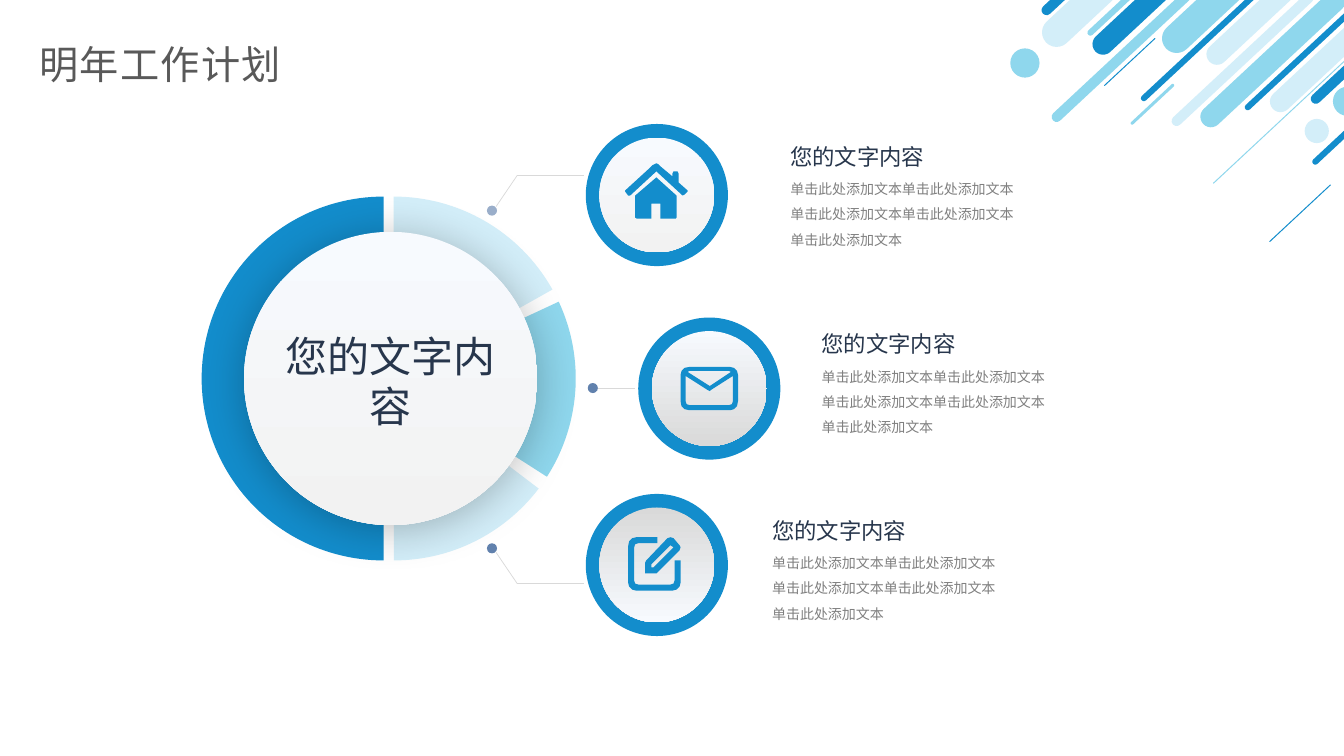
"""Build a slide that presents next year's work plan around a segmented disc."""
from dataclasses import dataclass

from lxml import etree
from pptx import Presentation
from pptx.dml.color import RGBColor
from pptx.enum.shapes import MSO_CONNECTOR, MSO_SHAPE
from pptx.enum.text import MSO_ANCHOR, PP_ALIGN
from pptx.oxml.ns import qn
from pptx.shapes.autoshape import Shape
from pptx.slide import Slide
from pptx.text.text import TextFrame
from pptx.util import Inches, Pt

OVAL = MSO_SHAPE.OVAL
PIE = MSO_SHAPE.PIE
PILL = MSO_SHAPE.ROUNDED_RECTANGLE
STRAIGHT = MSO_CONNECTOR.STRAIGHT
TOP = MSO_ANCHOR.TOP
LEFT = PP_ALIGN.LEFT
CENTER = PP_ALIGN.CENTER

BLUE = RGBColor(0x13, 0x8D, 0xCC)
SKY = RGBColor(0x8F, 0xD7, 0xED)
PALE = RGBColor(0xD3, 0xEE, 0xF9)
FROST = RGBColor(0xF7, 0xFA, 0xFE)
MIST = RGBColor(0xF2, 0xF2, 0xF2)
SILVER = RGBColor(0xD9, 0xD9, 0xD9)
SLATE = RGBColor(0x61, 0x81, 0xAD)
LIGHT_SLATE = RGBColor(0x9A, 0xAE, 0xCA)
NAVY = RGBColor(0x27, 0x36, 0x4C)
GREY = RGBColor(0x80, 0x80, 0x80)
CHARCOAL = RGBColor(0x59, 0x59, 0x59)

FONT = "Noto Sans CJK SC"
HEADING = "您的文字内容"
DETAIL = "单击此处添加文本" * 5
STRIPE_TURN = 317
RING, FACE, DOT = 1.41, 1.14, 0.1
PIE_SIZE = 3.61

Point = tuple[float, float]
Contour = list[tuple[int, int]]


@dataclass(frozen=True)
class Stripe:
    """A slanted pill of the corner decoration."""

    left: float
    top: float
    width: float
    height: float
    color: RGBColor


@dataclass(frozen=True)
class Bubble:
    """A plain filled circle."""

    left: float
    top: float
    size: float
    color: RGBColor


@dataclass(frozen=True)
class Sector:
    """A pie sector of the main disc, with its angles as adjustments."""

    left: float
    turn: float
    start: float
    end: float
    color: RGBColor


@dataclass(frozen=True)
class Item:
    """A ringed icon with its leader line, heading and detail text."""

    ring: Point
    face_colors: tuple[RGBColor, RGBColor]
    dot: Bubble
    leader: list[Point]
    text: Point
    icon: list[Contour]


STRIPES = [
    Stripe(10.12, -0.37, 1.89, 0.29, PALE), Stripe(10.54, -0.33, 1.89, 0.06, SKY),
    Stripe(10.61, -0.24, 1.89, 0.21, BLUE), Stripe(10.19, 0.5, 1.89, 0.1, SKY),
    Stripe(11.31, -0.31, 1.89, 0.29, SKY), Stripe(11.07, 0.32, 1.89, 0.06, BLUE),
    Stripe(11.74, -0.14, 1.89, 0.21, PALE), Stripe(11.38, 0.54, 1.89, 0.1, PALE),
    Stripe(11.68, 0.48, 1.89, 0.21, SKY), Stripe(12.1, 0.41, 1.89, 0.06, BLUE),
    Stripe(12.37, 0.33, 1.89, 0.21, PALE), Stripe(12.76, 0.32, 1.89, 0.1, BLUE),
    Stripe(10.09, -0.56, 1.89, 0.1, BLUE), Stripe(12.77, 0.95, 1.89, 0.06, BLUE),
    Stripe(11.78, 1.17, 1.89, 0.01, SKY), Stripe(12.48, 2.11, 0.83, 0.01, BLUE),
    Stripe(11.14, 1.02, 0.58, 0.03, SKY), Stripe(10.86, 0.61, 0.69, 0.01, BLUE),
]
BUBBLES = [Bubble(12.94, 1.18, 0.24, PALE), Bubble(13.22, 0.86, 0.29, SKY),
           Bubble(10.02, 0.48, 0.29, SKY)]
SECTORS = [Sector(2, 0, 54, 162, BLUE), Sector(2.1, 0, 162, 198.44, PALE),
           Sector(2.1, 76, 155.42, 190.01, SKY), Sector(2.1, 76, 192.74, 8.4, PALE)]

HOUSE = [
    [(671, 194), (671, 216), (670, 217), (655, 217), (655, 202), (646, 202), (646, 217),
     (632, 217), (630, 216), (630, 194), (651, 176)],
    [(667, 172), (668, 170), (672, 170), (673, 172), (673, 181), (682, 189), (682, 190),
     (679, 193), (677, 194), (651, 170), (625, 194), (623, 194), (620, 190), (620, 189),
     (644, 167), (647, 164), (649, 163), (651, 162), (653, 163), (655, 165), (667, 175)],
]
ENVELOPE = [
    [(675, 372), (676, 368), (679, 365), (684, 364), (724, 364), (728, 365), (731, 368),
     (732, 372), (732, 398), (731, 403), (728, 406), (724, 407), (684, 407), (679, 406),
     (676, 403), (675, 398)],
    [(682, 369), (684, 368), (723, 368), (725, 369), (704, 383)],
    [(727, 373), (727, 398), (726, 401), (723, 402), (684, 402), (681, 401), (680, 398),
     (680, 373), (702, 387), (704, 388), (705, 387)],
]
PENCIL = [
    [(623, 542), (624, 537), (627, 534), (631, 533), (652, 533), (652, 539), (633, 539),
     (630, 540), (629, 543), (629, 576), (630, 579), (633, 580), (665, 580), (668, 579),
     (669, 576), (669, 556), (675, 556), (675, 578), (674, 582), (671, 585), (667, 586),
     (631, 586), (627, 585), (624, 582), (623, 578)],
    [(646, 560), (646, 563), (648, 563), (668, 543), (665, 541)],
    [(651, 569), (640, 569), (640, 558), (641, 556), (662, 534), (665, 533), (668, 534),
     (674, 541), (675, 543), (674, 546), (653, 567)],
]
ITEMS = [
    Item((5.81, 1.23), (FROST, MIST), Bubble(4.83, 2.04, DOT, LIGHT_SLATE),
         [(4.92, 2.05), (5.13, 1.74), (5.79, 1.74)], (7.74, 1.37), HOUSE),
    Item((6.33, 3.15), (FROST, SILVER), Bubble(5.83, 3.8, DOT, SLATE),
         [(5.83, 3.85), (6.3, 3.85)], (8.05, 3.23), ENVELOPE),
    Item((5.81, 4.9), (SILVER, FROST), Bubble(4.83, 5.39, DOT, SLATE),
         [(4.92, 5.48), (5.13, 5.79), (5.79, 5.79)], (7.56, 5.08), PENCIL),
]


def add_solid(page: Slide, kind: MSO_SHAPE, left: float, top: float,
              width: float, height: float, color: RGBColor) -> Shape:
    shape = page.shapes.add_shape(kind, Inches(left), Inches(top), Inches(width), Inches(height))
    paint(shape, color)
    return shape


def paint(shape: Shape, color: RGBColor) -> None:
    shape.shadow.inherit = False
    shape.fill.solid()
    shape.fill.fore_color.rgb = color
    shape.line.fill.background()


def add_bubble(page: Slide, bubble: Bubble) -> Shape:
    return add_solid(page, OVAL, bubble.left, bubble.top, bubble.size, bubble.size, bubble.color)


def shade(shape: Shape, colors: tuple[RGBColor, RGBColor]) -> None:
    shape.fill.gradient()
    shape.fill.gradient_angle = 270
    for stop, color in zip(shape.fill.gradient_stops, colors):
        stop.color.rgb = color


def cast_shadow(shape: Shape) -> None:
    effects = shape._element.spPr.find(qn("a:effectLst"))
    shadow = etree.SubElement(effects, qn("a:outerShdw"), blurRad=str(Pt(32)), dist=str(Pt(3)),
                              dir="5400000", algn="t", rotWithShape="0")
    tint = etree.SubElement(shadow, qn("a:srgbClr"), val="000000")
    etree.SubElement(tint, qn("a:alpha"), val="26000")


def write(frame: TextFrame, text: str, size: float, color: RGBColor, align: PP_ALIGN = LEFT,
          spacing: float = 1.0, tracking: int = 0) -> None:
    frame.word_wrap = True
    frame.vertical_anchor = TOP
    para = frame.paragraphs[0]
    para.alignment = align
    para.line_spacing = spacing
    span = para.add_run()
    span.text = text
    span.font.size = Pt(size)
    span.font.name = FONT
    span.font.color.rgb = color
    properties = span._r.get_or_add_rPr()
    properties.set("spc", str(tracking))
    etree.SubElement(properties, qn("a:ea"), typeface=FONT)


def add_text(page: Slide, left: float, top: float, width: float, height: float) -> TextFrame:
    box = page.shapes.add_textbox(Inches(left), Inches(top), Inches(width), Inches(height))
    return box.text_frame


def add_leader(page: Slide, start: Point, end: Point) -> None:
    ends = [Inches(value) for value in (*start, *end)]
    leader = page.shapes.add_connector(STRAIGHT, *ends)
    leader.line.color.rgb = SILVER
    leader.line.width = Pt(0.5)
    etree.SubElement(leader._element.spPr, qn("a:effectLst"))


def add_icon(page: Slide, contours: list[Contour]) -> None:
    builder = page.shapes.build_freeform(*contours[0][0], scale=Inches(0.01))
    for number, contour in enumerate(contours):
        if number:
            builder.move_to(*contour[0])
        builder.add_line_segments(contour[1:], close=True)
    paint(builder.convert_to_shape(), BLUE)


def add_item(page: Slide, item: Item) -> None:
    left, top = item.ring
    inset = (RING - FACE) / 2
    add_solid(page, OVAL, left, top, RING, RING, BLUE)
    face = add_solid(page, OVAL, left + inset, top + inset, FACE, FACE, FROST)
    shade(face, item.face_colors)
    for start, end in zip(item.leader, item.leader[1:]):
        add_leader(page, start, end)
    add_bubble(page, item.dot)
    left, top = item.text
    write(add_text(page, left, top + 0.29, 2.51, 0.75), DETAIL, 10, GREY, spacing=1.5)
    write(add_text(page, left, top, 2.28, 0.37), HEADING, 16, NAVY)
    add_icon(page, item.icon)


def add_disc(page: Slide) -> None:
    for sector in SECTORS:
        pie = add_solid(page, PIE, sector.left, 1.95, PIE_SIZE, PIE_SIZE, sector.color)
        pie.rotation = sector.turn
        pie.adjustments[0] = sector.start
        pie.adjustments[1] = sector.end
    hub = add_solid(page, OVAL, 2.42, 2.3, 2.91, 2.91, FROST)
    shade(hub, (FROST, MIST))
    cast_shadow(hub)
    write(add_text(page, 2.73, 3.23, 2.28, 1.11), HEADING, 30, NAVY, CENTER)


def main() -> None:
    deck = Presentation()
    deck.slide_width, deck.slide_height = Inches(13.33), Inches(7.5)
    page = deck.slides.add_slide(deck.slide_layouts[5])
    for stripe in STRIPES:
        pill = add_solid(page, PILL, stripe.left, stripe.top, stripe.width, stripe.height,
                         stripe.color)
        pill.rotation = STRIPE_TURN
        pill.adjustments[0] = 0.5
    for bubble in BUBBLES:
        add_bubble(page, bubble)
    add_disc(page)
    for item in ITEMS:
        add_item(page, item)
    title = page.shapes.title
    title.left, title.top = Inches(0.29), Inches(0.35)
    title.width, title.height = Inches(13.04), Inches(0.57)
    write(title.text_frame, "明年工作计划", 28, CHARCOAL, tracking=100)
    deck.save("out.pptx")


if __name__ == "__main__":
    main()
